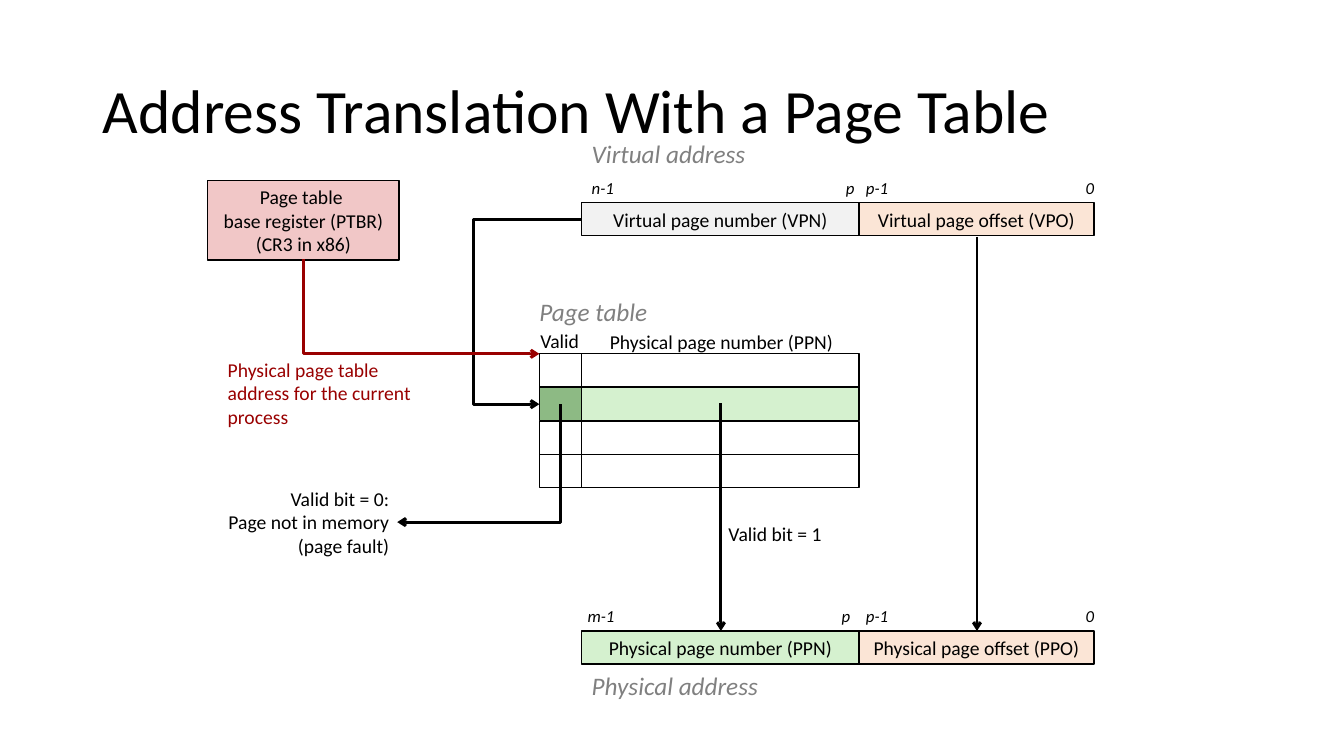
from pptx import Presentation
from pptx import util as u
from pptx.dml.color import RGBColor
from pptx.enum import shapes, text
from pptx.oxml.ns import qn
from lxml import etree

PX = 9144  # EMU, 100 px to the inch
FONT = "Calibri"
COLORS = {
    "black": "000000", "gray": "808080", "red": "990000",
    "pale": "F2F2F2", "peach": "FBE5D6", "pink": "F1C7C7",
    "mint": "D5F1CF", "green": "8DBA84",
}
LEFT, MID, RIGHT = text.PP_ALIGN.LEFT, text.PP_ALIGN.CENTER, text.PP_ALIGN.RIGHT


def rgb(name):
    return RGBColor.from_string(COLORS[name])


class Board:
    def __init__(self, slide):
        self.slide = slide

    def fill_in(self, frame, lines, size, color="black", align=LEFT, italic=False):
        """Fill a frame, one paragraph per line; \\v breaks within a paragraph."""
        for i, line in enumerate(lines):
            para = frame.paragraphs[0] if i == 0 else frame.add_paragraph()
            para.alignment = align
            for j, part in enumerate(line.split("\v")):
                if j:
                    para.add_line_break()
                run = para.add_run()
                run.text = part
                font = run.font
                font.name, font.size, font.italic = FONT, u.Pt(size), italic
                font.color.rgb = rgb(color)

    def title(self, line, *box):
        shape = self.slide.shapes.title
        shape.left, shape.top, shape.width, shape.height = (n * PX for n in box)
        frame = shape.text_frame
        frame.auto_size = text.MSO_AUTO_SIZE.NONE
        frame.vertical_anchor = text.MSO_ANCHOR.MIDDLE
        self.fill_in(frame, [line], 44)
        frame.paragraphs[0].line_spacing = 0.9

    def rect(self, x, y, w, h, fill=None, lines=()):
        box = self.slide.shapes.add_shape(
            shapes.MSO_SHAPE.RECTANGLE, x * PX, y * PX, w * PX, h * PX)
        box.shadow.inherit = False
        if fill:
            box.fill.solid()
            box.fill.fore_color.rgb = rgb(fill)
        else:
            box.fill.background()
        box.line.color.rgb = rgb("black")
        box.line.width = u.Pt(1)
        frame = box.text_frame
        frame.word_wrap = True
        frame.vertical_anchor = text.MSO_ANCHOR.MIDDLE
        frame.margin_left = frame.margin_right = 0
        frame.margin_top = frame.margin_bottom = 0
        self.fill_in(frame, lines, 14, align=MID)

    def label(self, x, y, w, h, lines, size=14, wrap=False, **style):
        box = self.slide.shapes.add_textbox(x * PX, y * PX, w * PX, h * PX)
        frame = box.text_frame
        frame.word_wrap = wrap
        frame.auto_size = text.MSO_AUTO_SIZE.SHAPE_TO_FIT_TEXT
        self.fill_in(frame, lines, size, **style)

    def arrow(self, x1, y1, x2, y2, color="black", kind=shapes.MSO_CONNECTOR.STRAIGHT):
        line = self.slide.shapes.add_connector(
            kind, *(round(n * PX) for n in (x1, y1, x2, y2)))
        line.line.color.rgb = rgb(color)
        line.line.width = u.Pt(2)
        props = line._element.spPr
        etree.SubElement(props.find(qn("a:ln")), qn("a:tailEnd"), type="arrow")
        etree.SubElement(props, qn("a:effectLst"))
        return props

    def loop(self, x1, y1, x2, y2, turn):
        """Elbow arrow whose upright part stands at x = turn."""
        props = self.arrow(x1, y1, x2, y2, kind=shapes.MSO_CONNECTOR.ELBOW)
        adj = round((turn - x1) / (x2 - x1) * 100000)
        guides = props.find(qn("a:prstGeom")).find(qn("a:avLst"))
        etree.SubElement(guides, qn("a:gd"), name="adj1", fmla=f"val {adj}")

    def corner(self, x1, y1, x2, y2, color="black"):
        """Elbow arrow that runs down, then sideways."""
        cx, cy = (x1 + x2) / 2, (y1 + y2) / 2
        dx, dy = (y2 - y1) / 2, abs(x2 - x1) / 2
        east = x2 > x1
        if east:
            dx = -dx  # mirrored before the turn
        props = self.arrow(cx - dx, cy - dy, cx + dx, cy + dy, color,
                           shapes.MSO_CONNECTOR.ELBOW)
        props.find(qn("a:xfrm")).set("rot", str((270 if east else 90) * 60000))
        props.find(qn("a:prstGeom")).set("prst", "bentConnector2")


def main():
    deck = Presentation()
    deck.slide_width, deck.slide_height = u.Inches(13.33), u.Inches(7.5)
    board = Board(deck.slides.add_slide(deck.slide_layouts[5]))
    board.title("Address Translation With a Page Table", 92, 40, 1150, 145)

    # Address bars and their bit numbers
    left, split, wide, off, high = 577, 852, 275, 233, 33
    bars = [
        ("Virtual", "VPN", "VPO", 201, "pale", 132, 178, ("n-1", 577, 42), 829),
        ("Physical", "PPN", "PPO", 626, "mint", 660, 191, ("m-1", 573, 47), 825),
    ]
    for name, num, rest, y, fill, top, span, first, low in bars:
        board.rect(left, y, wide, high, fill, [f"{name} page number ({num})"])
        board.rect(split, y, off, high, "peach", [f"{name} page offset ({rest})"])
        board.label(left, top, span, 40, [f"{name} address"], 18,
                    color="gray", italic=True)
        bits = [first, ("p", low, 29), ("p-1", 849, 42), ("0", 1067, 29)]
        for mark, x, w in bits:
            board.label(x, y - 30, w, 30, [mark], 12, italic=True)

    # Page table
    valid, slim, top = 535, 42, 351
    for row in range(4):
        y = top + row * 67 // 2
        hit = row == 1
        board.rect(left, y, wide, high, "mint" if hit else None)
        board.rect(valid, y, slim, high, "green" if hit else None)
    board.label(525, 289, 142, 40, ["Page table"], 18, True, color="gray", italic=True)
    board.label(526, 321, 61, 34, ["Valid"])
    board.label(595, 322, 248, 34, ["Physical page number (PPN)"])

    # Base register
    board.rect(206, 179, 190, 79, "pink",
               ["Page table \vbase register (PTBR)", "(CR3 in x86)"])

    # Flow
    board.loop(left, 218, valid, 401, 470)
    board.arrow(969, 235, 969, 626)
    board.arrow(715, 400, 715, 626)
    board.corner(556, 401, 394, 518)
    board.corner(301, 257, valid, top, "red")
    board.label(216, 350, 208, 81,
                ["Physical page table", "address for the current", "process"],
                color="red")
    board.label(210, 478, 186, 81,
                ["Valid bit = 0:", "Page not in memory", "(page fault)"], align=RIGHT)
    board.label(708, 513, 117, 34, ["Valid bit = 1"], align=RIGHT)

    deck.save("out.pptx")


if __name__ == "__main__":
    main()
